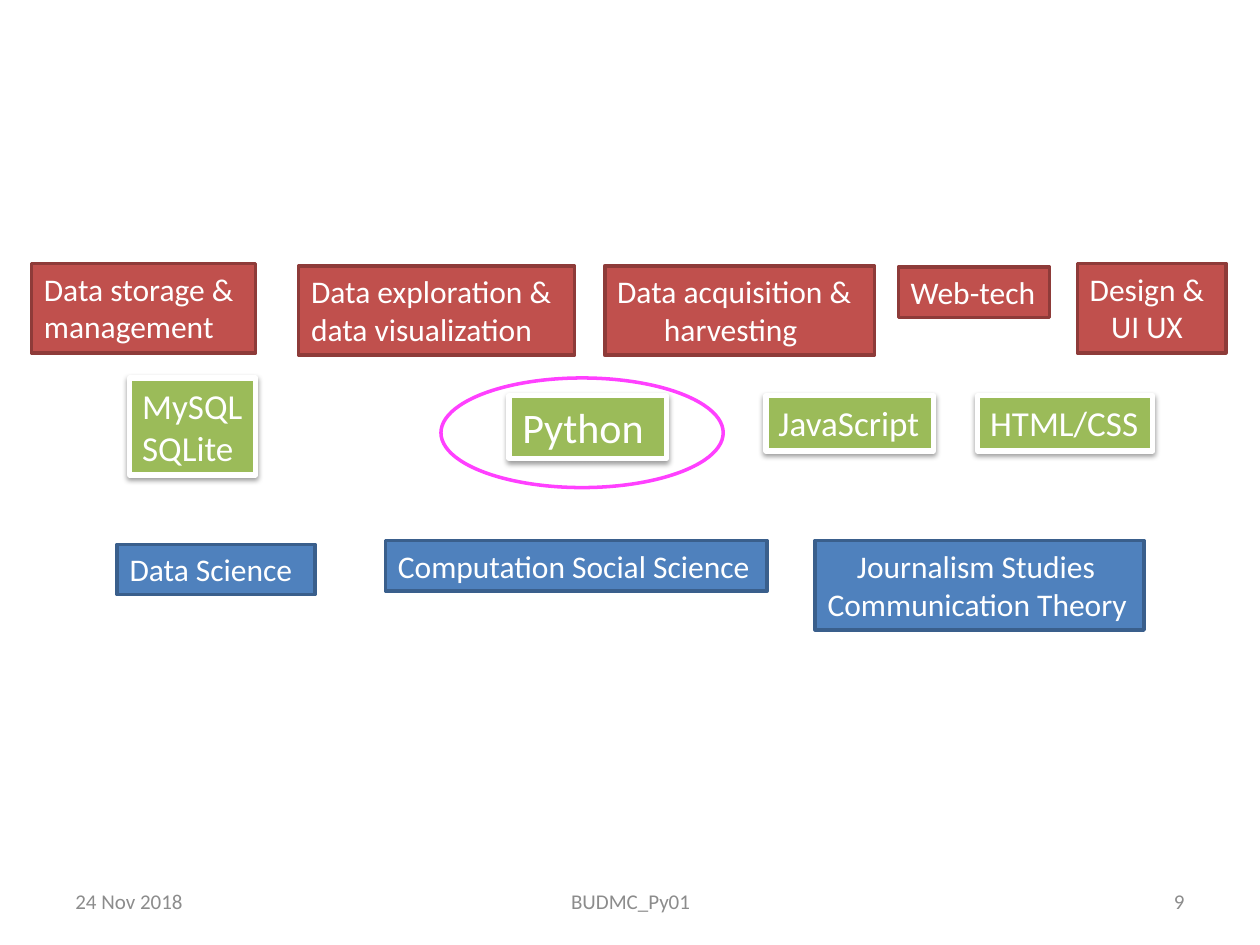
from dataclasses import dataclass

from lxml import etree
from pptx import Presentation
from pptx.dml.color import RGBColor
from pptx.enum.shapes import MSO_SHAPE
from pptx.enum.text import MSO_ANCHOR, MSO_AUTO_SIZE, PP_ALIGN
from pptx.oxml.ns import qn
from pptx.util import Inches, Pt

LEFT, CENTER, RIGHT = PP_ALIGN.LEFT, PP_ALIGN.CENTER, PP_ALIGN.RIGHT
TOP, MIDDLE = MSO_ANCHOR.TOP, MSO_ANCHOR.MIDDLE
RECTANGLE, OVAL = MSO_SHAPE.RECTANGLE, MSO_SHAPE.OVAL
FIT_SHAPE = MSO_AUTO_SIZE.SHAPE_TO_FIT_TEXT


@dataclass(frozen=True)
class Style:
    fill: str
    line: str
    line_width: float
    shadow: bool = False


@dataclass(frozen=True)
class Line:
    text: str
    align: PP_ALIGN = LEFT


@dataclass(frozen=True)
class Label:
    left: float
    top: float
    width: float
    height: float
    lines: tuple[Line, ...]
    style: Style
    size: int = 18


@dataclass(frozen=True)
class Footer:
    left: float
    width: float
    line: Line


SKILL = Style("C0504D", "8E3B39", 2)
TOOL = Style("9BBB59", "FFFFFF", 3, shadow=True)
FIELD = Style("4F81BD", "3A5F8C", 2)
ONE_LINE, TWO_LINES = 0.4, 0.71
TOOL_TOP = 3.14

LABELS = (
    Label(0.25, 2.09, 1.78, TWO_LINES, (Line("Data storage &"), Line("management")), SKILL),
    Label(2.37, 2.11, 2.19, TWO_LINES,
          (Line("Data exploration &"), Line("data visualization")), SKILL),
    Label(4.8, 2.11, 2.14, TWO_LINES,
          (Line("Data acquisition &"), Line("harvesting ", CENTER)), SKILL),
    Label(7.13, 2.12, 1.2, ONE_LINE, (Line("Web-tech"),), SKILL),
    Label(8.55, 2.09, 1.18, TWO_LINES, (Line("Design &"), Line("UI UX", CENTER)), SKILL),
    Label(1.03, 3, 1, 0.77, (Line("MySQL"), Line("SQLite")), TOOL, 20),
    Label(4.04, TOOL_TOP, 1.25, 0.5, (Line("Python ", CENTER),), TOOL, 24),
    Label(7.76, TOOL_TOP, 1.39, 0.44, (Line("HTML/CSS"),), TOOL, 20),
    Label(6.08, TOOL_TOP, 1.33, 0.44, (Line("JavaScript"),), TOOL, 20),
    Label(0.93, 4.32, 1.57, ONE_LINE, (Line("Data Science"),), FIELD),
    Label(3.06, 4.29, 3.03, ONE_LINE, (Line("Computation Social Science"),), FIELD),
    Label(6.47, 4.29, 2.61, TWO_LINES,
          (Line("Journalism Studies ", CENTER), Line("Communication Theory")), FIELD),
)
FOOTERS = (
    Footer(0.5, 2.33, Line("24 Nov 2018")),
    Footer(3.42, 3.17, Line("BUDMC_Py01", CENTER)),
    Footer(7.17, 2.33, Line("9", RIGHT)),
)


def color(hex_value: str) -> RGBColor:
    return RGBColor.from_string(hex_value)


def write_lines(frame, lines: tuple[Line, ...], size: int, text_color: str) -> None:
    font_format = {"name": "Calibri", "size": Pt(size)}
    for index, line in enumerate(lines):
        paragraph = frame.add_paragraph() if index else frame.paragraphs[0]
        paragraph.alignment = line.align
        run = paragraph.add_run()
        run.text = line.text
        for attribute, value in font_format.items():
            setattr(run.font, attribute, value)
        run.font.color.rgb = color(text_color)


def add_drop_shadow(shape) -> None:
    effects = shape.element.spPr.find(qn("a:effectLst"))
    shadow = etree.SubElement(
        effects, qn("a:outerShdw"), blurRad=str(Pt(3.1)), dist=str(Pt(1.6)),
        dir=str(90 * 60000), rotWithShape="0")
    tint = etree.SubElement(shadow, qn("a:srgbClr"), val="000000")
    etree.SubElement(tint, qn("a:alpha"), val="38000")


def add_label(slide, label: Label) -> None:
    box = slide.shapes.add_shape(
        RECTANGLE, Inches(label.left), Inches(label.top),
        Inches(label.width), Inches(label.height))
    box.fill.solid()
    box.fill.fore_color.rgb = color(label.style.fill)
    box.line.color.rgb = color(label.style.line)
    box.line.width = Pt(label.style.line_width)
    box.shadow.inherit = False
    if label.style.shadow:
        add_drop_shadow(box)
    frame_format = {"word_wrap": False, "auto_size": FIT_SHAPE, "vertical_anchor": TOP}
    for attribute, value in frame_format.items():
        setattr(box.text_frame, attribute, value)
    write_lines(box.text_frame, label.lines, label.size, "FFFFFF")


def add_footer(slide, footer: Footer) -> None:
    box = slide.shapes.add_textbox(
        Inches(footer.left), Inches(6.95), Inches(footer.width), Inches(0.4))
    box.text_frame.word_wrap = True
    box.text_frame.vertical_anchor = MIDDLE
    write_lines(box.text_frame, (footer.line,), 12, "8C8C8C")


def add_highlight(slide) -> None:
    """Ring the language taught in this course."""
    ring = slide.shapes.add_shape(OVAL, Inches(3.5), Inches(3), Inches(2.24), Inches(0.87))
    ring.fill.background()
    ring.line.color.rgb = color("FF40FF")
    ring.line.width = Pt(2)
    ring.shadow.inherit = False


def main() -> None:
    presentation = Presentation()
    presentation.slide_width, presentation.slide_height = Inches(10), Inches(7.5)
    slide = presentation.slides.add_slide(presentation.slide_layouts[6])
    for footer in FOOTERS:
        add_footer(slide, footer)
    for label in LABELS:
        add_label(slide, label)
    add_highlight(slide)
    presentation.save("out.pptx")


if __name__ == "__main__":
    main()
